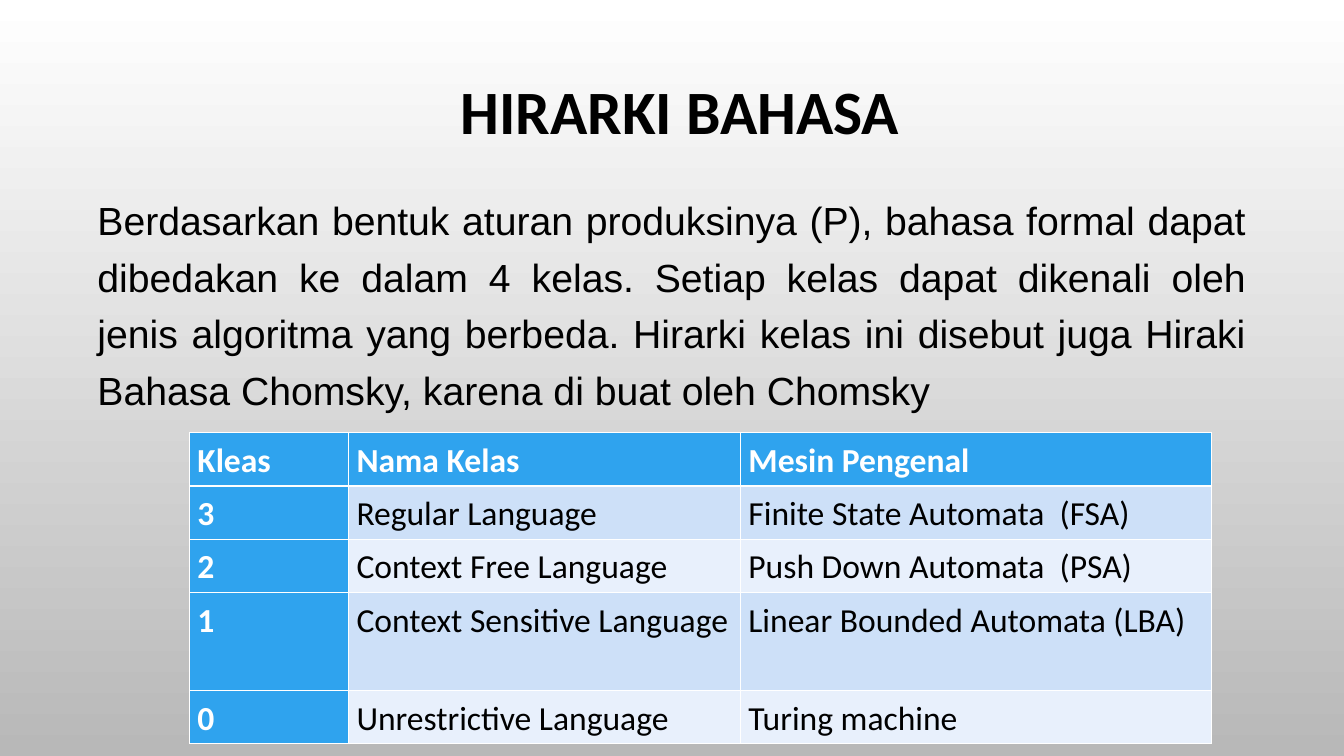
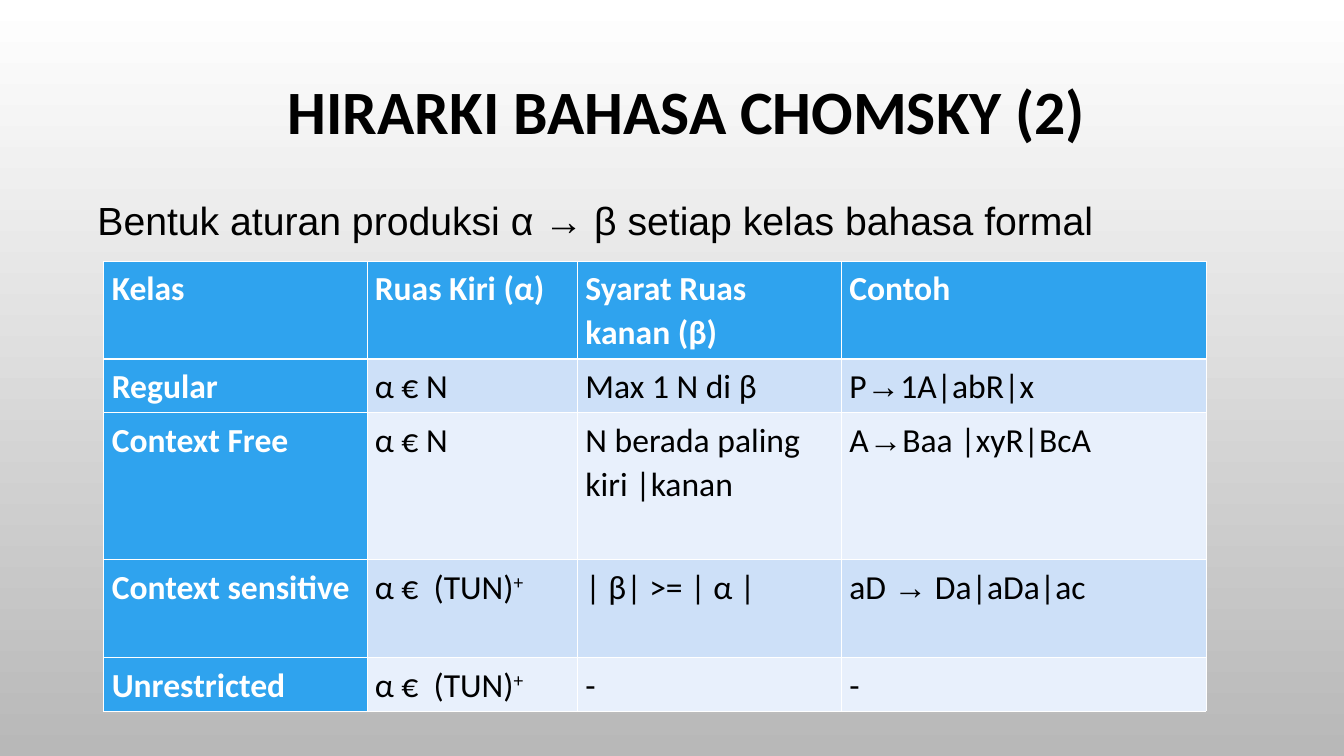
from dataclasses import dataclass
from typing import NamedTuple

from lxml.etree import SubElement
from pptx import Presentation
from pptx.dml.color import RGBColor
from pptx.enum.text import MSO_ANCHOR, PP_ALIGN
from pptx.oxml.ns import qn
from pptx.util import Emu, Inches, Pt


@dataclass(frozen=True)
class Theme:
    black: str = "000000"
    white: str = "FFFFFF"
    gray: str = "B8B8B8"
    blue: str = "2FA3EE"
    bands: tuple[str, str] = ("CDE0F8", "E8F0FC")
    head: str = "Calibri"
    body: str = "Arial"
    big: int = 44
    mid: int = 28
    small: int = 24
    thin: float = 0.45
    thick: float = 1.47


class Box(NamedTuple):
    """Left, top, width and height in percent of the slide."""
    x: float
    y: float
    w: float
    h: float


class Span(NamedTuple):
    text: str
    font: str | None = None
    raised: bool = False


Text = str | tuple[str | Span, ...]


@dataclass(frozen=True)
class Grid:
    x: float
    y: float
    cols: tuple[float, ...]
    lines: tuple[int, ...]
    cells: tuple[tuple[Text, ...], ...]


@dataclass(frozen=True)
class Page:
    title: str
    lead: str
    grid: Grid


LOOK = Theme()
WIDE, HIGH = Inches(13.34), Inches(7.5)
TITLE = Box(15.52, 6.93, 71.21, 13.33)
LEAD = Box(6.52, 24.13, 86.88, 71.2)
LINE = 6.49  # height of one table line, in percent
ARROW = Span("→", font=LOOK.body)
PLUS = Span("+", raised=True)
UNION = ("α €  (TUN)", PLUS)

PAGES = (
    Page(
        "HIRARKI BAHASA ",
        "Berdasarkan bentuk aturan produksinya (P), bahasa formal dapat "
        "dibedakan ke dalam 4 kelas. Setiap kelas dapat dikenali oleh jenis "
        "algoritma yang berbeda. Hirarki kelas ini disebut juga Hiraki Bahasa "
        "Chomsky, karena di buat oleh Chomsky",
        Grid(14.09, 57.2, (11.84, 29.16, 35.01), (1, 1, 1, 2, 1), (
            ("Kleas", "Nama Kelas", "Mesin Pengenal"),
            ("3", "Regular Language", "Finite State Automata  (FSA)"),
            ("2", "Context Free Language", "Push Down Automata  (PSA)"),
            ("1", "Context Sensitive Language", "Linear Bounded Automata (LBA)"),
            ("0", "Unrestrictive Language", "Turing machine"),
        )),
    ),
    Page(
        "HIRARKI BAHASA CHOMSKY (2)",
        "Bentuk aturan produksi α → β setiap kelas bahasa formal",
        Grid(7.72, 34.53, (19.57, 15.67, 19.64, 27.14), (2, 1, 3, 2, 1), (
            ("Kelas", "Ruas Kiri (α)", "Syarat Ruas kanan (β)", "Contoh"),
            ("Regular", "α € N", "Max 1 N di β", ("P", ARROW, "1A|abR|x")),
            ("Context Free", "α € N", "N berada paling kiri |kanan",
             ("A", ARROW, "Baa |xyR|BcA")),
            ("Context sensitive", UNION, "| β| >= | α |",
             ("aD ", ARROW, " Da|aDa|ac")),
            ("Unrestricted", UNION, "-", "-"),
        )),
    ),
)


def across(share: float) -> Emu:
    return Emu(round(WIDE * share / 100))


def down(share: float) -> Emu:
    return Emu(round(HIGH * share / 100))


def tint(hue: str) -> RGBColor:
    return RGBColor.from_string(hue)


def write(frame, text: Text, *, font: str, size: int, hue: str = LOOK.black,
          bold: bool = False, align: PP_ALIGN = PP_ALIGN.LEFT,
          space: float = 1.0) -> None:
    """Fill the first paragraph of a frame with formatted runs."""
    para = frame.paragraphs[0]
    para.alignment, para.line_spacing = align, space
    for part in (text,) if isinstance(text, str) else text:
        span = Span(part) if isinstance(part, str) else part
        run = para.add_run()
        run.text = span.text
        run.font.name = span.font or font
        run.font.size, run.font.bold = Pt(size), bold
        run.font.color.rgb = tint(hue)
        if span.raised:
            run._r.get_or_add_rPr().set("baseline", "30000")


def add_box(slide, box: Box, text: str, anchor=MSO_ANCHOR.TOP, **style) -> None:
    frame = slide.shapes.add_textbox(
        across(box.x), down(box.y), across(box.w), down(box.h)).text_frame
    frame.word_wrap, frame.vertical_anchor = True, anchor
    write(frame, text, **style)


def edge(cell, row: int) -> None:
    """Draw white cell borders, thicker under the header."""
    props = cell._tc.get_or_add_tcPr()
    for side in "LRTB":
        heavy = (side, row) in (("B", 0), ("T", 1))
        line = SubElement(props, qn(f"a:ln{side}"),
                          w=str(Pt(LOOK.thick if heavy else LOOK.thin)))
        fill = SubElement(line, qn("a:solidFill"))
        SubElement(fill, qn("a:srgbClr"), val=LOOK.white)


def add_grid(slide, grid: Grid) -> None:
    table = slide.shapes.add_table(
        len(grid.lines), len(grid.cols), across(grid.x), down(grid.y),
        across(sum(grid.cols)), down(sum(grid.lines) * LINE)).table
    for col, share in zip(table.columns, grid.cols):
        col.width = across(share)
    for row, count in zip(table.rows, grid.lines):
        row.height = down(count * LINE)
    for r, texts in enumerate(grid.cells):
        for c, text in enumerate(texts):
            cell = table.cell(r, c)
            key = r == 0 or c == 0
            cell.margin_left = cell.margin_right = Inches(0.08)
            edge(cell, r)
            cell.fill.solid()
            cell.fill.fore_color.rgb = tint(
                LOOK.blue if key else LOOK.bands[(r - 1) % 2])
            write(cell.text_frame, text, font=LOOK.head, size=LOOK.small,
                  hue=LOOK.white if key else LOOK.black, bold=key, space=1.07)


def paint(master) -> None:
    """Shade the shared background from white down to gray."""
    fill = master.background.fill
    fill.gradient()
    fill.gradient_angle = 270
    for stop, hue in zip(fill.gradient_stops, (LOOK.white, LOOK.gray)):
        stop.color.rgb = tint(hue)


def main() -> None:
    deck = Presentation()
    deck.slide_width, deck.slide_height = WIDE, HIGH
    paint(deck.slide_master)
    for page in PAGES:
        slide = deck.slides.add_slide(deck.slide_layouts[6])
        add_box(slide, TITLE, page.title, MSO_ANCHOR.BOTTOM, font=LOOK.head,
                size=LOOK.big, bold=True, align=PP_ALIGN.CENTER, space=0.9)
        add_box(slide, LEAD, page.lead, font=LOOK.body, size=LOOK.mid,
                align=PP_ALIGN.JUSTIFY, space=1.2)
        add_grid(slide, page.grid)
    deck.save("out.pptx")


if __name__ == "__main__":
    main()
